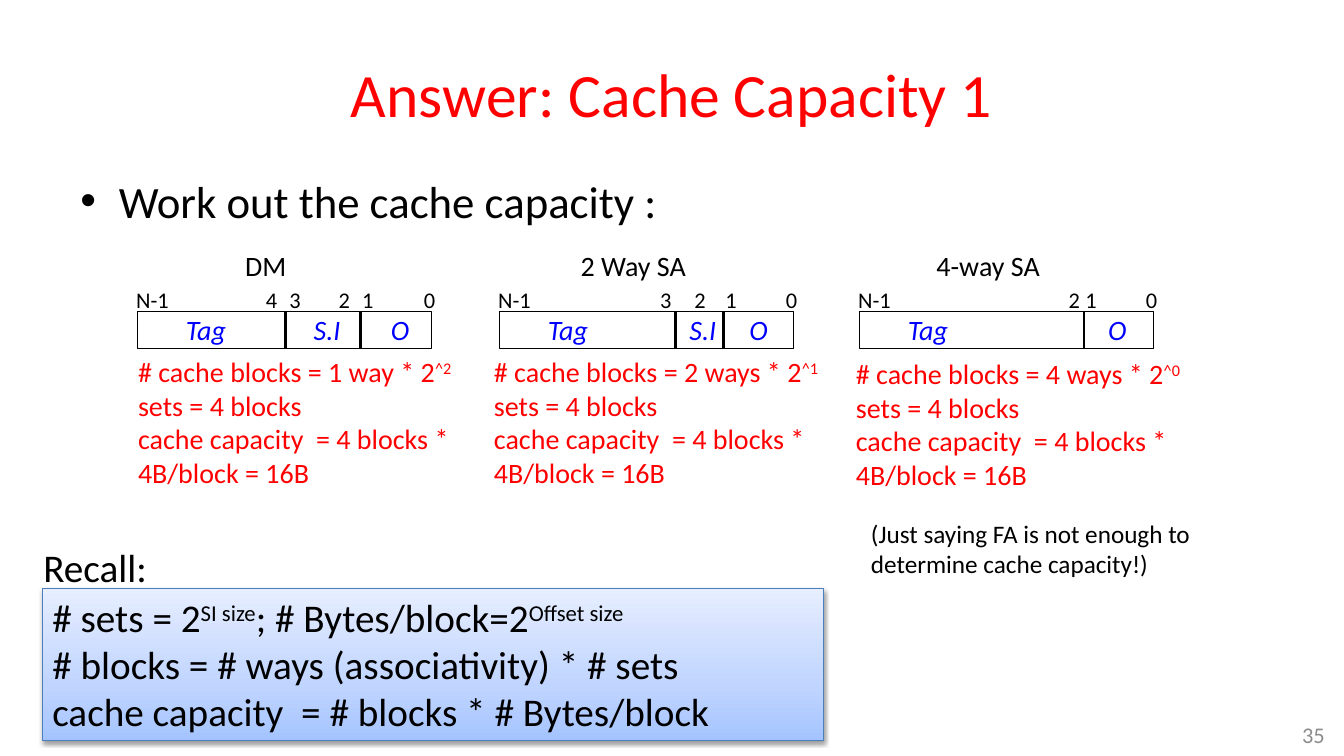
from lxml.etree import SubElement
from pptx import Presentation
from pptx.dml.color import RGBColor
from pptx.enum.shapes import MSO_CONNECTOR, MSO_SHAPE
from pptx.enum.text import MSO_ANCHOR, PP_ALIGN
from pptx.oxml import parse_xml
from pptx.oxml.ns import nsdecls, qn
from pptx.util import Inches, Pt

WIDTH, HEIGHT = Inches(13.33), Inches(7.5)
FONT = "Calibri"
BLACK = RGBColor(0, 0, 0)
RED = RGBColor(255, 0, 0)
BLUE = RGBColor(0, 0, 255)
GRAY = RGBColor(0x8C, 0x8C, 0x8C)
EDGE = RGBColor(0x4B, 0x7E, 0xBC)
GRADIENT = [(0, "A4C4FF"), (35, "BFD4FF"), (100, "E6EEFF")]

# Lengths are percent of the slide's width or height.
FRAME_TOP, FRAME_WIDTH, FRAME_HEIGHT = 41.2, 21.9, 4.93
BIT_TOP, BIT_WIDTH = 37.2, 2.4
FIELD_TOP, FIELD_HEIGHT = 40.7, 5.87
FIELD_WIDTHS = {"Tag": 4.5, "S.I": 3.53, "O": 2.93}

# Bits, dividers, fields, heading and work are placed from the frame's left edge.
CACHES = [
    dict(name="DM", left=10.2, heading=(7.3, 6.9), ways="1 way", power=2,
         bits={"4": 8.85, "3": 10.6, "2": 14.25, "1": 16}, dividers=[11.03, 16.65],
         fields={"Tag": 2.9, "S.I": 12.4, "O": 18.15}, work=(-4.42, 46.27)),
    dict(name="2 Way SA", left=37.13, heading=(5.33, 9.45), ways="2 ways", power=1,
         bits={"3": 11.25, "2": 13.8, "1": 16.1}, dividers=[13.13, 16.73],
         fields={"Tag": 2.9, "S.I": 13.43, "O": 17.9}, work=(-4.87, 46.27)),
    dict(name="4-way SA", left=63.92, heading=(5.02, 9.3), ways="4 ways", power=0,
         bits={"2": 14.85, "1": 16.1}, dividers=[16.73],
         fields={"Tag": 2.9, "O": 17.8}, work=(-4.73, 46.53)),
]


def across(share):
    return round(WIDTH * share / 100)


def down(share):
    return round(HEIGHT * share / 100)


def area(left, top, width, height):
    return across(left), down(top), across(width), down(height)


def write(shape, text, *, size, color=BLACK, italic=False, align=PP_ALIGN.LEFT,
          anchor=MSO_ANCHOR.TOP, wrap=True, indent=0, bullet=None):
    """Fill a shape with text: lines are paragraphs, every second part between | is raised."""
    frame = shape.text_frame
    frame.word_wrap = wrap
    frame.vertical_anchor = anchor
    for index, line in enumerate(text.split("\n")):
        para = frame.paragraphs[0] if index == 0 else frame.add_paragraph()
        para.alignment = align
        properties = para._p.get_or_add_pPr()
        properties.set("marL", str(Inches(indent)))
        if bullet:
            properties.set("indent", str(-Inches(indent)))
            SubElement(properties, qn("a:buFont"), typeface="Arial")
            SubElement(properties, qn("a:buChar"), char=bullet)
        for part, words in enumerate(line.split("|")):
            span = para.add_run()
            span.text = words
            span.font.name = FONT
            span.font.size = Pt(size)
            span.font.color.rgb = color
            span.font.italic = italic
            if part % 2:
                span._r.get_or_add_rPr().set("baseline", "30000")


def add_text(page, place, text, **style):
    write(page.shapes.add_textbox(*area(*place)), text, **style)


def add_rectangle(page, place, color):
    box = page.shapes.add_shape(MSO_SHAPE.RECTANGLE, *area(*place))
    box.shadow.inherit = False
    box.fill.background()
    box.line.color.rgb = color
    box.line.width = Pt(0.75)
    return box


def add_divider(page, left):
    line = page.shapes.add_connector(
        MSO_CONNECTOR.STRAIGHT, across(left), down(FRAME_TOP),
        across(left), down(FRAME_TOP + FRAME_HEIGHT))
    line.line.color.rgb = BLACK
    line.line.width = Pt(2)
    SubElement(line._element.spPr, qn("a:effectLst"))


def add_address(page, cache):
    """Draw the address layout of one cache with its heading and its worked answer."""
    left = cache["left"]
    start, width = cache["heading"]
    add_text(page, (left + start, 32.27, width, FIELD_HEIGHT), cache["name"],
             size=20, wrap=False)
    add_rectangle(page, (left, FRAME_TOP, FRAME_WIDTH, FRAME_HEIGHT), BLACK)
    for offset in cache["dividers"]:
        add_divider(page, left + offset)
    for bit, offset in {"N-1": -0.8, **cache["bits"], "0": 20.6}.items():
        width = 4 if bit == "N-1" else BIT_WIDTH
        add_text(page, (left + offset, BIT_TOP, width, FRAME_HEIGHT), bit,
                 size=16, wrap=False)
    for field, offset in cache["fields"].items():
        add_text(page, (left + offset, FIELD_TOP, FIELD_WIDTHS[field], FIELD_HEIGHT),
                 field, size=20, color=BLUE, italic=True, wrap=False)
    offset, top = cache["work"]
    add_text(page, (left + offset, top, 30.6, 19.33),
             f"# cache blocks = {cache['ways']} * 2|^{cache['power']} |sets = 4 blocks\n"
             "cache capacity  = 4 blocks * 4B/block = 16B",
             size=20, color=RED, indent=0.5)


def add_recall(page):
    add_text(page, (2.48, 71.2, 9.3, 7.6), "Recall:", size=28, wrap=False)
    box = add_rectangle(page, (3.15, 77.87, 58.14, 20.13), EDGE)
    stops = "".join(f'<a:gs pos="{share * 1000}"><a:srgbClr val="{color}"/></a:gs>'
                    for share, color in GRADIENT)
    gradient = parse_xml(f'<a:gradFill {nsdecls("a")} rotWithShape="1"><a:gsLst>{stops}'
                         '</a:gsLst><a:lin ang="16200000" scaled="0"/></a:gradFill>')
    properties = box._element.spPr
    properties.replace(properties.find(qn("a:noFill")), gradient)
    shadow = SubElement(properties.find(qn("a:effectLst")), qn("a:outerShdw"),
                        blurRad=str(Pt(3.1)), dist=str(Pt(1.6)), dir="5400000",
                        rotWithShape="0")
    shade = SubElement(shadow, qn("a:srgbClr"), val=str(BLACK))
    SubElement(shade, qn("a:alpha"), val="38000")
    write(box, "# sets = 2|SI size|; # Bytes/block=2|Offset size\n"
          "# blocks = # ways (associativity) * # sets\n"
          "cache capacity  = # blocks * # Bytes/block", size=28)


def main():
    deck = Presentation()
    deck.slide_width, deck.slide_height = WIDTH, HEIGHT
    page = deck.slides.add_slide(deck.slide_layouts[6])
    add_text(page, (5, 4, 90, 16.67), "Answer: Cache Capacity 1", size=44, color=RED,
             align=PP_ALIGN.CENTER, anchor=MSO_ANCHOR.MIDDLE)
    add_text(page, (5.25, 22.27, 90, 9), "Work out the cache capacity :", size=32,
             indent=0.38, bullet="•")
    for cache in CACHES:
        add_address(page, cache)
    add_recall(page)
    add_text(page, (64.07, 67.87, 26.93, 9.47),
             "(Just saying FA is not enough to determine cache capacity!)", size=18)
    add_text(page, (94.3, 94.4, 5, 5.6), "35", size=16, color=GRAY,
             align=PP_ALIGN.RIGHT, anchor=MSO_ANCHOR.MIDDLE)
    deck.save("out.pptx")


if __name__ == "__main__":
    main()
